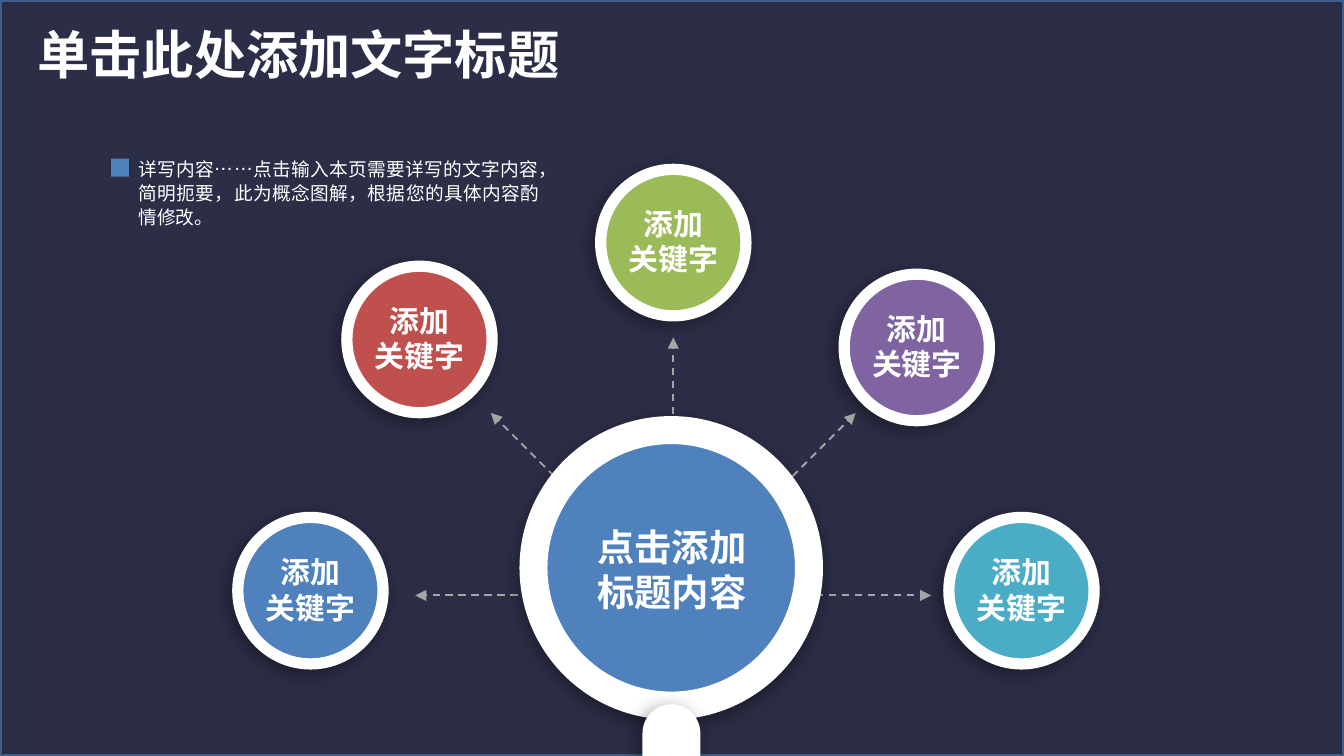
from dataclasses import dataclass
from math import cos, radians, sin

from lxml.etree import SubElement
from pptx import Presentation
from pptx.dml.color import RGBColor
from pptx.enum.dml import MSO_LINE
from pptx.enum.shapes import MSO_CONNECTOR, MSO_SHAPE as SHAPE
from pptx.enum.text import MSO_AUTO_SIZE, PP_ALIGN as ALIGN
from pptx.oxml.ns import qn
from pptx.util import Pt


@dataclass(frozen=True)
class Theme:
    font: str = "Noto Sans CJK SC"
    navy: str = "2C2E47"
    frame: str = "3A5F8C"
    white: str = "FFFFFF"
    gray: str = "A6A6A6"
    blue: str = "4F81BD"
    red: str = "C0504D"
    green: str = "9BBB59"
    purple: str = "8064A2"
    teal: str = "4BACC6"
    title: int = 28
    hub: int = 20
    label: int = 16
    body: int = 10


T = Theme()
TITLE = "单击此处添加文字标题"
BODY = "详写内容……点击输入本页需要详写的文字内容，简明扼要，此为概念图解，根据您的具体内容酌情修改。"
HUB = ["点击添加", "标题内容"]
KEYWORD = ["添加", "关键字"]
NODES = [
    (127.4, 277.2, T.blue),
    (185.8, 142.6, T.red),
    (321.8, 90.7, T.green),
    (452.2, 146.9, T.purple),
    (508.3, 277.2, T.teal),
]
NODE_W, NODE_H = 77.8, 78.5
LABEL_W, LABEL_H = 69.8, 47.5
ARROW_ANGLES = [180, 0, 90, 135, 45]
ARROW_X, ARROW_Y, ARROW_LEN = 360.7, 319, 138.2
W, H = 720, 405


def rgb(color):
    return RGBColor.from_string(color)


def add_shape(shapes, kind, box, fill, line=None, width=0, shadow_angle=None):
    sp = shapes.add_shape(kind, *map(Pt, box))
    sp.shadow.inherit = False
    sp.fill.solid()
    sp.fill.fore_color.rgb = rgb(fill)
    if line:
        sp.line.color.rgb = rgb(line)
        sp.line.width = Pt(width)
    else:
        sp.line.fill.background()
    if shadow_angle is not None:
        effects = sp._element.spPr.find(qn("a:effectLst"))
        shadow = SubElement(effects, qn("a:outerShdw"), blurRad=str(Pt(10)), dist=str(Pt(3)),
                            dir=str(shadow_angle * 60000), algn="ctr", rotWithShape="0")
        color = SubElement(shadow, qn("a:srgbClr"), val="000000")
        SubElement(color, qn("a:alpha"), val="40000")
    return sp


def add_text(shapes, box, lines, size, align=ALIGN.CENTER, bold=True,
             inset=(7.2, 3.6), wrap=True, spacing=None):
    sp = shapes.add_textbox(*map(Pt, box))
    tf = sp.text_frame
    tf.word_wrap = wrap
    tf.auto_size = MSO_AUTO_SIZE.SHAPE_TO_FIT_TEXT
    tf.margin_left = tf.margin_right = Pt(inset[0])
    tf.margin_top = tf.margin_bottom = Pt(inset[1])
    tf.text = "\n".join(lines)
    for p in tf.paragraphs:
        p.alignment = align
        if spacing:
            p.line_spacing = Pt(spacing)
        p.font.name = T.font
        p.font.size = Pt(size)
        p.font.bold = bold
        p.font.color.rgb = rgb(T.white)
        for r in p.runs:
            SubElement(r._r.get_or_add_rPr(), qn("a:ea"), typeface=T.font)
    return sp


def add_arrow(shapes, angle):
    a = radians(angle)
    end_x = ARROW_X + ARROW_LEN * cos(a)
    end_y = ARROW_Y - ARROW_LEN * sin(a)
    c = shapes.add_connector(MSO_CONNECTOR.STRAIGHT, Pt(ARROW_X), Pt(ARROW_Y), Pt(end_x), Pt(end_y))
    c.line.color.rgb = rgb(T.gray)
    c.line.width = Pt(1)
    c.line.dash_style = MSO_LINE.DASH
    SubElement(c.line._get_or_add_ln(), qn("a:tailEnd"), type="triangle")
    SubElement(c._element.spPr, qn("a:effectLst"))


def add_node(shapes, x, y, color):
    add_shape(shapes, SHAPE.OVAL, (x, y, NODE_W, NODE_H), color, T.white, 6, 135)
    label = (x + (NODE_W - LABEL_W) / 2, y + 15, LABEL_W, LABEL_H)
    add_text(shapes, label, KEYWORD, T.label, inset=(8.64, 4.32))


def add_hub(shapes):
    group = shapes.add_group_shape().shapes
    add_shape(group, SHAPE.OVAL, (285.8, 230.4, 147.6, 147.6), T.blue, T.white, 15, 100)
    handle = add_shape(group, SHAPE.ROUNDED_RECTANGLE, (344.2, 377.3, 31, 63.4), T.white,
                       shadow_angle=135)
    handle.adjustments[0] = 0.5
    add_text(shapes, (302.4, 277.2, 115.2, 55.4), HUB, T.hub)


def add_note(shapes):
    group = shapes.add_group_shape().shapes
    add_text(group, (74.2, 83.5, 214.6, 39.6), [BODY], T.body, ALIGN.JUSTIFY, False,
             inset=(0, 0), spacing=13)
    add_shape(group, SHAPE.RECTANGLE, (59.5, 85, 9.6, 9.6), T.blue)


def main():
    prs = Presentation()
    prs.slide_width, prs.slide_height = Pt(W), Pt(H)
    s = prs.slides.add_slide(prs.slide_layouts[6])
    s.background.fill.solid()
    s.background.fill.fore_color.rgb = rgb(T.navy)
    add_shape(s.shapes, SHAPE.RECTANGLE, (0, 0, W, H), T.navy, T.frame, 2)
    add_text(s.shapes, (13, 8.6, 297.4, 41), [TITLE], T.title, ALIGN.LEFT, wrap=False)
    for angle in ARROW_ANGLES:
        add_arrow(s.shapes, angle)
    add_hub(s.shapes)
    for x, y, color in NODES:
        add_node(s.shapes, x, y, color)
    add_note(s.shapes)
    prs.save("out.pptx")


if __name__ == "__main__":
    main()
